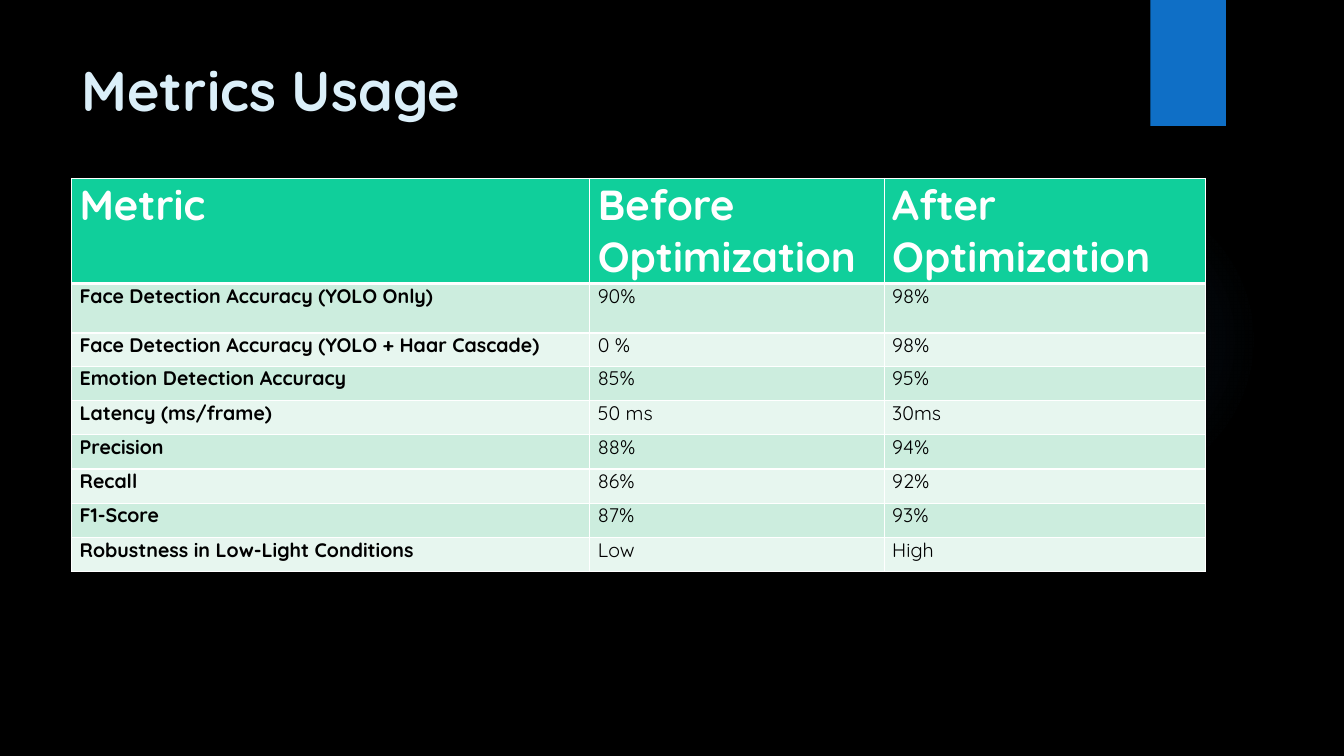
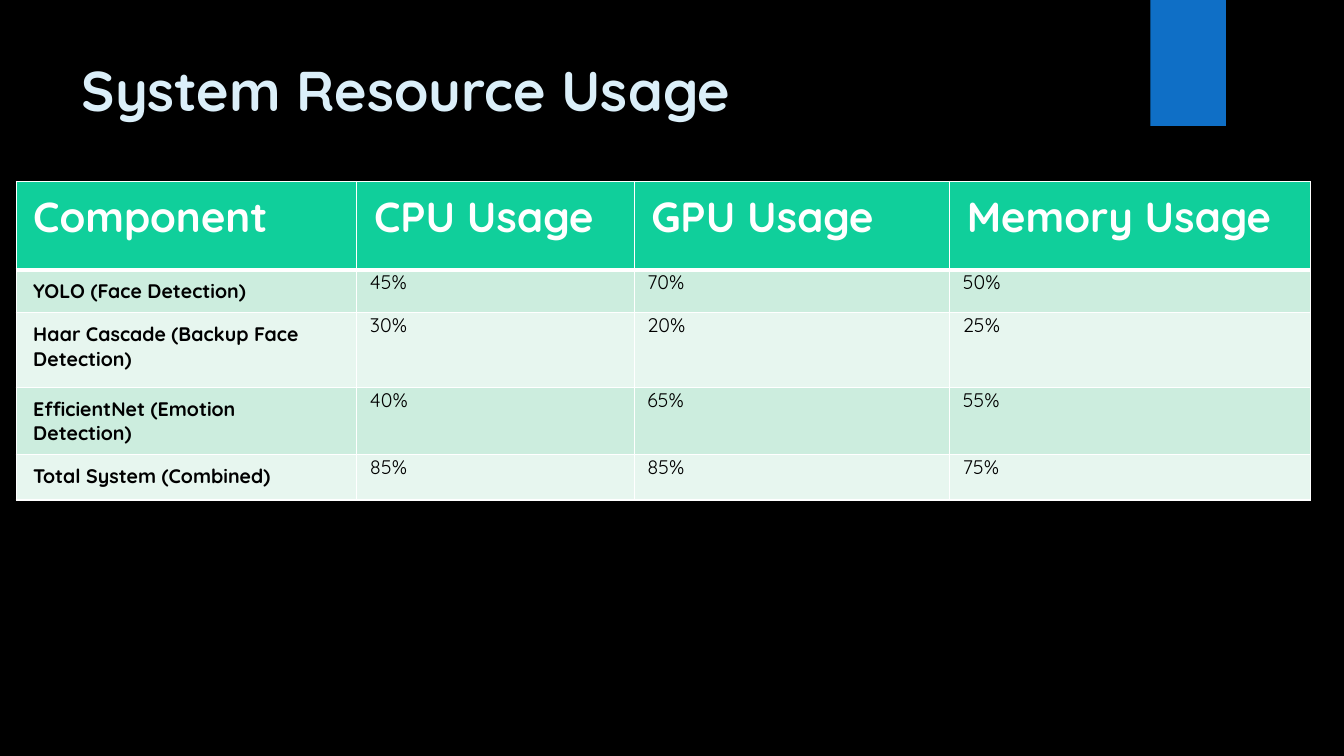
from dataclasses import dataclass

from pptx import Presentation
from pptx.dml.color import RGBColor
from pptx.enum.shapes import MSO_SHAPE
from pptx.enum.text import MSO_ANCHOR, MSO_AUTO_SIZE, PP_ALIGN
from pptx.oxml import parse_xml
from pptx.oxml.ns import nsdecls
from pptx.slide import Slide, SlideLayout
from pptx.table import _Cell as Cell
from pptx.text.text import TextFrame
from pptx.util import Inches, Pt

BLACK = RGBColor(0x00, 0x00, 0x00)
WHITE = RGBColor(0xFF, 0xFF, 0xFF)
ICE = RGBColor(0xDB, 0xEF, 0xF9)
BLUE = RGBColor(0x0F, 0x6F, 0xC6)
GLOW = RGBColor(0x44, 0x8A, 0xD7)
GREEN = RGBColor(0x10, 0xCF, 0x9B)
MINT = RGBColor(0xCC, 0xED, 0xDE)
PALE = RGBColor(0xE7, 0xF6, 0xEF)
FONT = "Quicksand"


@dataclass(frozen=True)
class Inset:
    side: float
    top: float


@dataclass(frozen=True)
class Page:
    title: str
    left: float
    top: float
    widths: list[float]
    heights: list[float]
    label: Inset
    value: Inset
    rows: list[list[str]]


PAGES = [
    Page(
        "Metrics Usage", 0.71, 1.77,
        [5.14, 2.92, 3.19],
        [1.04, 0.49, 0.33] + [0.34] * 6,
        Inset(0.08, 0), Inset(0.08, 0),
        [
            ["Metric", "Before Optimization", "After Optimization"],
            ["Face Detection Accuracy (YOLO Only)", "90%", "98%"],
            ["Face Detection Accuracy (YOLO + Haar Cascade)", "0 %", "98%"],
            ["Emotion Detection Accuracy", "85%", "95%"],
            ["Latency (ms/frame)", "50 ms", "30ms"],
            ["Precision", "88%", "94%"],
            ["Recall", "86%", "92%"],
            ["F1-Score", "87%", "93%"],
            ["Robustness in Low-Light Conditions", "Low", "High"],
        ],
    ),
    Page(
        "System Resource Usage", 0.16, 1.8,
        [3.38, 2.75, 3.13, 3.58],
        [0.88, 0.42, 0.74, 0.66, 0.45],
        Inset(0.17, 0.09), Inset(0.13, 0),
        [
            ["Component", "CPU Usage", "GPU Usage", "Memory Usage"],
            ["YOLO (Face Detection)", "45%", "70%", "50%"],
            ["Haar Cascade (Backup Face Detection)", "30%", "20%", "25%"],
            ["EfficientNet (Emotion Detection)", "40%", "65%", "55%"],
            ["Total System (Combined)", "85%", "85%", "75%"],
        ],
    ),
]


def write(frame: TextFrame, text: str, *, size: float, color: RGBColor, bold: bool) -> None:
    frame.word_wrap = True
    line = frame.paragraphs[0]
    line.alignment = PP_ALIGN.LEFT
    run = line.add_run()
    run.text = text
    run.font.name = FONT
    run.font.size = Pt(size)
    run.font.bold = bold
    run.font.color.rgb = color


def edge(cell: Cell, **sizes: float) -> None:
    props = cell._tc.get_or_add_tcPr()
    for side in "LRTB":
        width = Pt(sizes.get(side, 1))
        props.append(parse_xml(
            f'<a:ln{side} {nsdecls("a")} w="{width}"><a:solidFill>'
            f'<a:srgbClr val="{WHITE}"/></a:solidFill></a:ln{side}>'
        ))


def add_shape(slide: Slide, kind: MSO_SHAPE, box: tuple[float, ...], color: RGBColor):
    shape = slide.shapes.add_shape(kind, *map(Inches, box))
    shape.shadow.inherit = False
    shape.fill.solid()
    shape.fill.fore_color.rgb = color
    shape.line.fill.background()
    return shape


def add_decor(slide: Slide, layout: SlideLayout) -> None:
    halo = add_shape(slide, MSO_SHAPE.OVAL, (9.41, 1.83, 3.08, 3.08), GLOW)
    stops = "".join(
        f'<a:gs pos="{spot * 1000}"><a:srgbClr val="{GLOW}">'
        f'<a:alpha val="{alpha * 1000}"/></a:srgbClr></a:gs>'
        for spot, alpha in [(0, 7), (36, 6), (69, 0), (100, 0)]
    )
    props = halo.element.spPr
    solid = props.find("{*}solidFill")
    props.replace(solid, parse_xml(
        f'<a:gradFill {nsdecls("a")}><a:gsLst>{stops}</a:gsLst><a:path path="circle">'
        '<a:fillToRect l="50000" t="50000" r="50000" b="50000"/></a:path></a:gradFill>'
    ))
    tab = add_shape(slide, MSO_SHAPE.RECTANGLE, (11.41, 0, 0.75, 1.25), BLUE)
    for index, shape in enumerate([halo, tab]):
        layout.shapes.element.insert(2 + index, shape.element)


def style(layout: SlideLayout) -> None:
    back = layout.background.fill
    back.solid()
    back.fore_color.rgb = BLACK
    title = layout.placeholders[0]
    title.left, title.top = Inches(0.71), Inches(0.5)
    title.width, title.height = Inches(10.29), Inches(1.53)


def add_title(slide: Slide, text: str) -> None:
    frame = slide.shapes.title.text_frame
    frame.auto_size = MSO_AUTO_SIZE.NONE
    frame.vertical_anchor = MSO_ANCHOR.TOP
    write(frame, text, size=40, color=ICE, bold=True)


def fill_cell(cell: Cell, text: str, row: int, col: int, page: Page) -> None:
    head = row == 0
    inset = page.label if head or col == 0 else page.value
    cell.margin_left = cell.margin_right = Inches(inset.side)
    cell.margin_top = cell.margin_bottom = Inches(inset.top)
    cell.vertical_anchor = MSO_ANCHOR.TOP
    edge(cell, T=3 if row == 1 else 1, B=3 if head else 1)
    cell.fill.solid()
    cell.fill.fore_color.rgb = GREEN if head else MINT if row % 2 else PALE
    write(cell.text_frame, text, size=30 if head else 14,
          color=WHITE if head else BLACK, bold=head or col == 0)


def add_grid(slide: Slide, page: Page) -> None:
    size = (page.left, page.top, sum(page.widths), sum(page.heights))
    table = slide.shapes.add_table(
        len(page.rows), len(page.widths), *map(Inches, size)).table
    table.horz_banding = False
    for column, width in zip(table.columns, page.widths):
        column.width = Inches(width)
    for line, height in zip(table.rows, page.heights):
        line.height = Inches(height)
    for row, texts in enumerate(page.rows):
        for col, text in enumerate(texts):
            fill_cell(table.cell(row, col), text, row, col, page)


def main() -> None:
    deck = Presentation()
    deck.slide_width, deck.slide_height = Inches(13.33), Inches(7.5)
    layout = deck.slide_layouts[5]
    style(layout)
    for index, page in enumerate(PAGES):
        slide = deck.slides.add_slide(layout)
        if index == 0:
            add_decor(slide, layout)
        add_title(slide, page.title)
        add_grid(slide, page)
    deck.save("out.pptx")


if __name__ == "__main__":
    main()
